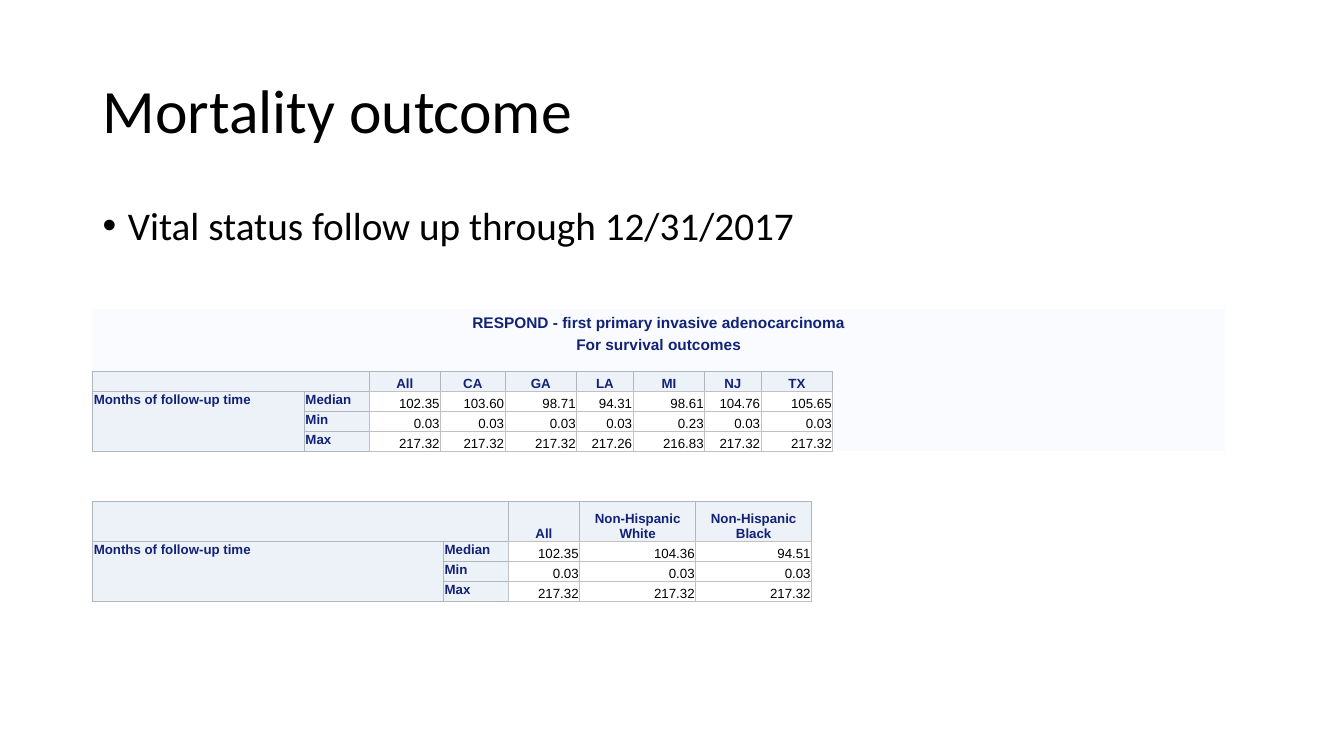
import pptx
import pptx.dml.color
import pptx.enum.text
import pptx.oxml.ns
import pptx.util
from lxml import etree

# Content
TITLE = "Mortality outcome"
BULLET = "Vital status follow up through 12/31/2017"
MEASURE = "Months of follow-up time"
STATE_TABLE = {
    "top": 3.07,
    "widths": [2.1, 0.64, 0.71, 0.64, 0.71, 0.56, 0.71, 0.56, 0.71,
               0.56, 0.71, 0.56, 0.71, 0.64, 0.71],
    "heights": [0.22, 0.22, 0.17, 0.2, 0.2, 0.2, 0.2],
    "banner": ["RESPOND - first primary invasive adenocarcinoma",
               "For survival outcomes", ""],
    "headers": ["All", "CA", "GA", "LA", "MI", "NJ", "TX"],
    "rows": [
        ("Median", "102.35", "103.60", "98.71", "94.31", "98.61", "104.76", "105.65"),
        ("Min", "0.03", "0.03", "0.03", "0.03", "0.23", "0.03", "0.03"),
        ("Max", "217.32", "217.32", "217.32", "217.26", "216.83", "217.32", "217.32"),
    ],
}
RACE_TABLE = {
    "top": 4.97,
    "widths": [3.48, 0.64, 0.71, 1.15, 1.15],
    "heights": [0.4, 0.2, 0.2, 0.2],
    "banner": [],
    "headers": ["All", "Non-Hispanic\nWhite", "Non-Hispanic\nBlack"],
    "rows": [
        ("Median", "102.35", "104.36", "94.51"),
        ("Min", "0.03", "0.03", "0.03"),
        ("Max", "217.32", "217.32", "217.32"),
    ],
}

# Style
LEFT, WIDTH = 0.92, 11.5
BLACK, NAVY, WHITE = "000000", "112277", "FFFFFF"
PALE, HEAD = "FAFBFE", "EDF2F9"
EDGE, GRID = "B0B7BB", "C1C1C1"
NO_STYLE = "{2D5ABB26-0587-4C30-8999-92F81FD0307C}"
Inches, Pt, qn = pptx.util.Inches, pptx.util.Pt, pptx.oxml.ns.qn
ALIGN = pptx.enum.text.PP_ALIGN
ANCHOR = pptx.enum.text.MSO_ANCHOR


def color(hex_value):
    return pptx.dml.color.RGBColor.from_string(hex_value)


def add_run(p, text, size, font, hex_value, bold=False):
    r = p.add_run()
    r.text = text
    r.font.size, r.font.name, r.font.bold = Pt(size), font, bold
    r.font.color.rgb = color(hex_value)


def add_text(s, top, height, text, size, anchor):
    tf = s.shapes.add_textbox(Inches(LEFT), Inches(top),
                              Inches(WIDTH), Inches(height)).text_frame
    tf.word_wrap, tf.vertical_anchor = True, anchor
    p = tf.paragraphs[0]
    p.line_spacing = 0.9
    add_run(p, text, size, "Calibri", BLACK)
    return p


def add_bullet(p):
    p.space_before = Pt(10)
    pPr = p._p.get_or_add_pPr()
    pPr.set("marL", str(Inches(0.25)))
    pPr.set("indent", str(Inches(-0.25)))
    etree.SubElement(pPr, qn("a:buFont"), typeface="Arial")
    etree.SubElement(pPr, qn("a:buChar"), char="•")


def set_cell(cell, fill, text="", size=9.5, ink=NAVY, bold=True,
             align=ALIGN.LEFT, anchor=ANCHOR.TOP, borders=None):
    """borders: colours for left, right, top, bottom."""
    cell.margin_left = cell.margin_right = cell.margin_top = Inches(0.01)
    cell.margin_bottom = 0
    cell.vertical_anchor = anchor
    tcPr = cell._tc.get_or_add_tcPr()
    for side, hex_value in zip("LRTB", borders or ()):
        ln = etree.SubElement(tcPr, qn("a:ln" + side), w=str(Pt(0.5)))
        solid = etree.SubElement(ln, qn("a:solidFill"))
        etree.SubElement(solid, qn("a:srgbClr"), val=hex_value)
    cell.fill.solid()
    cell.fill.fore_color.rgb = color(fill)

    p = cell.text_frame.paragraphs[0]
    if not text:
        etree.SubElement(p._p, qn("a:endParaRPr"), sz="600")
        return
    p.alignment = align
    for i, line in enumerate(text.split("\n")):
        if i:
            p.add_line_break()
        add_run(p, line, size, "Arial", ink, bold)
    for br in p._p.findall(qn("a:br")):
        etree.SubElement(br, qn("a:rPr"), sz=str(int(size * 100)))


def add_stats_table(s, top, widths, heights, banner, headers, rows):
    n_rows, n_cols = len(heights), len(widths)
    table = s.shapes.add_table(n_rows, n_cols, Inches(LEFT), Inches(top),
                               Inches(sum(widths)), Inches(sum(heights))).table
    table.first_row = table.horz_banding = False
    table._tbl.tblPr.find(qn("a:tableStyleId")).text = NO_STYLE
    for column, width in zip(table.columns, widths):
        column.width = Inches(width)
    for row, height in zip(table.rows, heights):
        row.height = Inches(height)

    # Banner lines above the grid
    head = len(banner)
    for i, line in enumerate(banner):
        for j in range(n_cols):
            set_cell(table.cell(i, j), PALE, "" if j else line, 11,
                     align=ALIGN.CENTER, anchor=ANCHOR.BOTTOM)
        if line:
            table.cell(i, 0).merge(table.cell(i, n_cols - 1))

    # Header row
    for j in range(2):
        set_cell(table.cell(head, j), HEAD, borders=[EDGE] * 4)
    table.cell(head, 0).merge(table.cell(head, 1))
    for j, name in enumerate(headers, 2):
        set_cell(table.cell(head, j), HEAD, name, align=ALIGN.CENTER,
                 anchor=ANCHOR.BOTTOM, borders=[EDGE, EDGE, EDGE, GRID])

    # Measure, statistic and values
    for i, (statistic, *values) in enumerate(rows, head + 1):
        measure = MEASURE if i == head + 1 else ""
        set_cell(table.cell(i, 0), HEAD, measure, borders=[EDGE] * 4)
        set_cell(table.cell(i, 1), HEAD, statistic, borders=[EDGE, GRID, EDGE, EDGE])
        for j, value in enumerate(values, 2):
            set_cell(table.cell(i, j), WHITE, value, ink=BLACK, bold=False,
                     align=ALIGN.RIGHT, anchor=ANCHOR.BOTTOM, borders=[GRID] * 4)
    table.cell(head + 1, 0).merge(table.cell(n_rows - 1, 0))

    # Unused columns to the right of the grid
    for i in range(head, n_rows):
        for j in range(len(headers) + 2, n_cols):
            set_cell(table.cell(i, j), PALE)


def main():
    prs = pptx.Presentation()
    prs.slide_width, prs.slide_height = Inches(13.33), Inches(7.5)
    s = prs.slides.add_slide(prs.slide_layouts[6])
    add_text(s, 0.4, 1.45, TITLE, 44, ANCHOR.MIDDLE)
    add_bullet(add_text(s, 2, 4.76, BULLET, 28, ANCHOR.TOP))
    for stats in (STATE_TABLE, RACE_TABLE):
        add_stats_table(s, **stats)
    prs.save("out.pptx")


if __name__ == "__main__":
    main()
